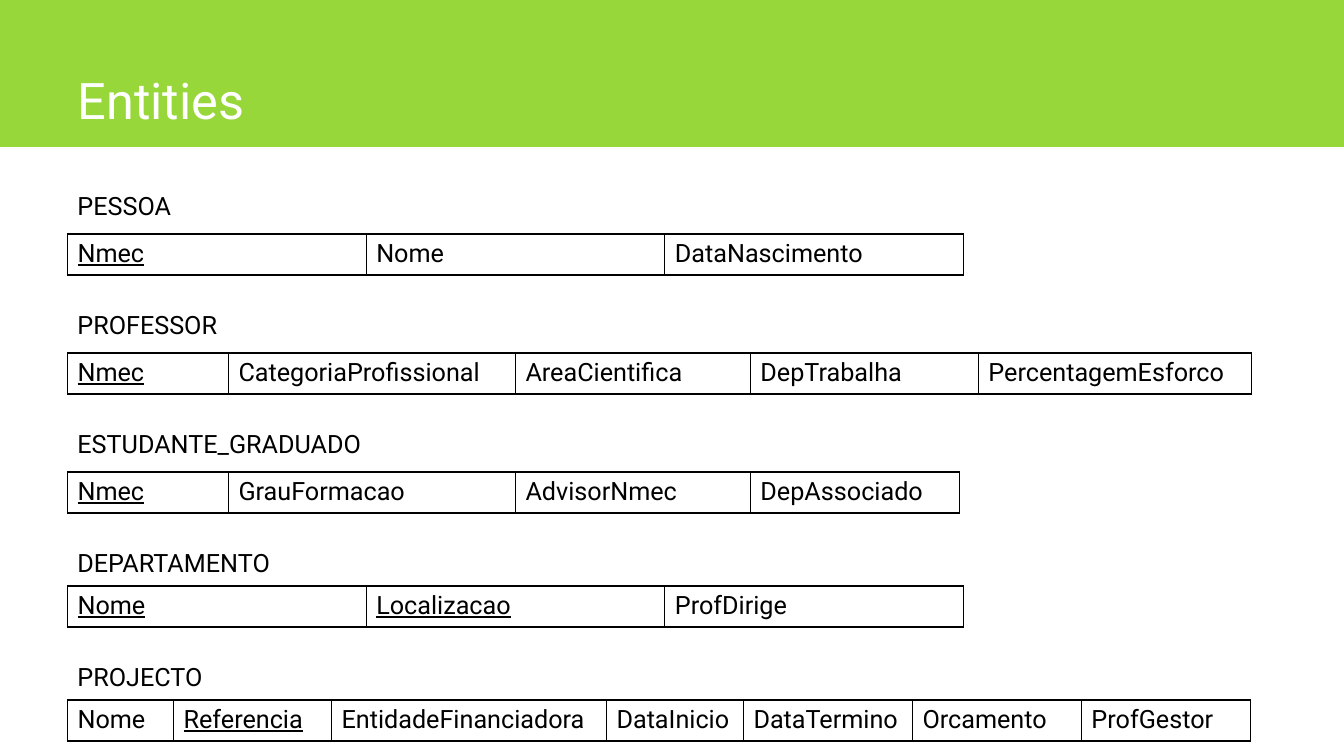
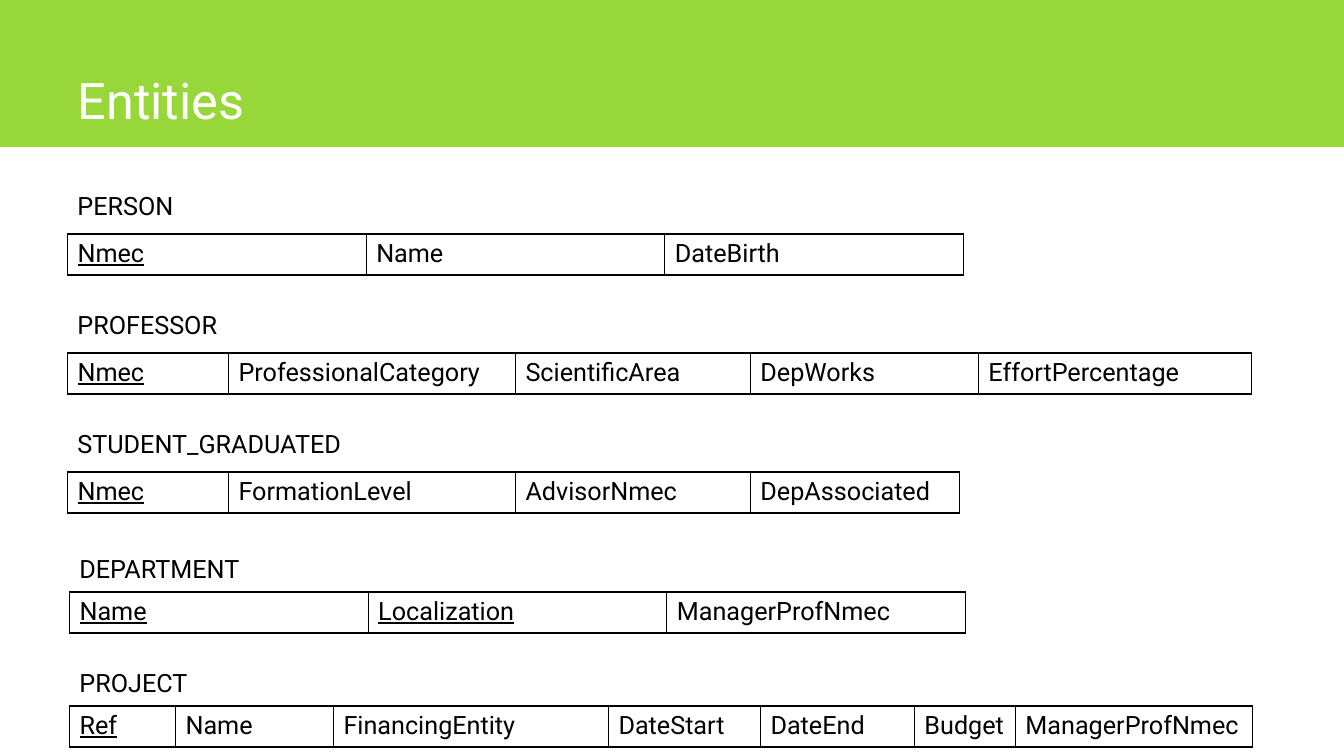
from lxml import etree
from pptx import Presentation
from pptx import util as u
from pptx.dml.color import RGBColor
from pptx.enum import shapes, text
from pptx.oxml import parse_xml
from pptx.oxml.ns import nsdecls, qn

# Content: per slide, (entity, fields, key fields), top to bottom
TITLE = "Entities"
SLIDES = [
    [
        ("PESSOA", ["Nmec", "Nome", "DataNascimento"], {"Nmec"}),
        ("PROFESSOR", ["Nmec", "CategoriaProfissional", "AreaCientifica",
                       "DepTrabalha", "PercentagemEsforco"], {"Nmec"}),
        ("ESTUDANTE_GRADUADO", ["Nmec", "GrauFormacao", "AdvisorNmec",
                                "DepAssociado"], {"Nmec"}),
        ("DEPARTAMENTO", ["Nome", "Localizacao", "ProfDirige"],
         {"Nome", "Localizacao"}),
        ("PROJECTO", ["Nome", "Referencia", "EntidadeFinanciadora", "DataInicio",
                      "DataTermino", "Orcamento", "ProfGestor"], {"Referencia"}),
    ],
    [
        ("PERSON", ["Nmec", "Name", "DateBirth"], {"Nmec"}),
        ("PROFESSOR", ["Nmec", "ProfessionalCategory", "ScientificArea",
                       "DepWorks", "EffortPercentage"], {"Nmec"}),
        ("STUDENT_GRADUATED", ["Nmec", "FormationLevel", "AdvisorNmec",
                               "DepAssociated"], {"Nmec"}),
        ("DEPARTMENT", ["Name", "Localization", "ManagerProfNmec"],
         {"Name", "Localization"}),
        ("PROJECT", ["Ref", "Name", "FinancingEntity", "DateStart",
                     "DateEnd", "Budget", "ManagerProfNmec"], {"Ref"}),
    ],
]

# Geometry in pixels
W, H, BAND_H = 1344, 756, 147
LEFT, ROW_H, LABEL_H = 67.5, 41, 40
THIRDS = [298.7] * 3
STAFF = [161, 287, 235, 228, 273]
STUDENT = STAFF[:3] + [209]
PROJECT_COLS = [[106, 158, 275, 137, 169, 169, 169],
                [106, 158, 275, 152, 154, 101, 237]]
# Label top, label width, drop from label to table
PLACES = [(185, 233, 49), (304, 233, 49), (423, 375, 49),
          (542, 233, 44), (656, 233, 44)]
# Shift (right, down) of the last two entities on each slide
SHIFTS = [(0, 0), (2, 6)]

COLORS = {"band": "97D739", "title": "FFFFFF", "ink": "000000"}
FONT = "Roboto"


def px(n):
    return u.Emu(round(n * 914400 / 100.8))


def add_text(tf, words, underline=False):
    r = tf.paragraphs[0].add_run()
    r.text = words
    r.font.name, r.font.size = FONT, u.Pt(18)
    r.font.underline = underline
    r.font.color.rgb = RGBColor.from_string(COLORS["ink"])


def add_borders(cell):
    tc_pr = cell._tc.get_or_add_tcPr()
    for side in "LRTB":
        ln = etree.SubElement(tc_pr, qn(f"a:ln{side}"), w=str(u.Pt(1)))
        fill = etree.SubElement(ln, qn("a:solidFill"))
        etree.SubElement(fill, qn("a:srgbClr"), val=COLORS["ink"])


def add_label(s, words, x, y, width):
    tf = s.shapes.add_textbox(px(x), px(y), px(width), px(LABEL_H)).text_frame
    tf.word_wrap = True
    tf.auto_size = text.MSO_AUTO_SIZE.SHAPE_TO_FIT_TEXT
    add_text(tf, words)


def add_entity_table(s, fields, keys, widths, x, y):
    table = s.shapes.add_table(1, len(fields), px(x), px(y),
                               px(sum(widths)), px(ROW_H)).table
    table.first_row = table.horz_banding = False
    table.rows[0].height = px(ROW_H)
    for i, (field, width) in enumerate(zip(fields, widths)):
        table.columns[i].width = px(width)
        cell = table.cell(0, i)
        add_borders(cell)
        cell.fill.background()
        add_text(cell.text_frame, field, field in keys)


def style_layout(layout, s):
    # The band is made on a slide, then moved behind the layout's title
    band = s.shapes.add_shape(shapes.MSO_SHAPE.RECTANGLE, 0, 0, px(W), px(BAND_H))
    band.shadow.inherit = False
    band.fill.solid()
    band.fill.fore_color.rgb = RGBColor.from_string(COLORS["band"])
    band.line.fill.background()
    layout.shapes._spTree.insert(2, band._element)

    title = layout.placeholders[0]
    title.left, title.top = px(LEFT), 0
    title.width, title.height = px(1184), px(135)
    tf = title.text_frame
    tf.vertical_anchor = text.MSO_ANCHOR.BOTTOM
    tf.auto_size = text.MSO_AUTO_SIZE.NONE
    tf._txBody.find(qn("a:lstStyle")).append(parse_xml(
        f'<a:lvl1pPr {nsdecls("a")} algn="l"><a:defRPr sz="3600"><a:solidFill>'
        f'<a:srgbClr val="{COLORS["title"]}"/></a:solidFill>'
        f'<a:latin typeface="{FONT}"/></a:defRPr></a:lvl1pPr>'))


# Build
prs = Presentation()
prs.slide_width, prs.slide_height = px(W), px(H)
layout = prs.slide_layouts[5]

for n, (entities, project_cols, shift) in enumerate(zip(SLIDES, PROJECT_COLS, SHIFTS)):
    s = prs.slides.add_slide(layout)
    if n == 0:
        style_layout(layout, s)
    s.shapes.title.text_frame.paragraphs[0].add_run().text = TITLE
    columns = [THIRDS, STAFF, STUDENT, THIRDS, project_cols]
    for i, ((name, fields, keys), widths, (top, label_w, drop)) in enumerate(
            zip(entities, columns, PLACES)):
        dx, dy = shift if i >= 3 else (0, 0)
        x, y = LEFT + dx, top + dy
        add_label(s, name, x, y, label_w)
        add_entity_table(s, fields, keys, widths, x, y + drop)

prs.save("out.pptx")
